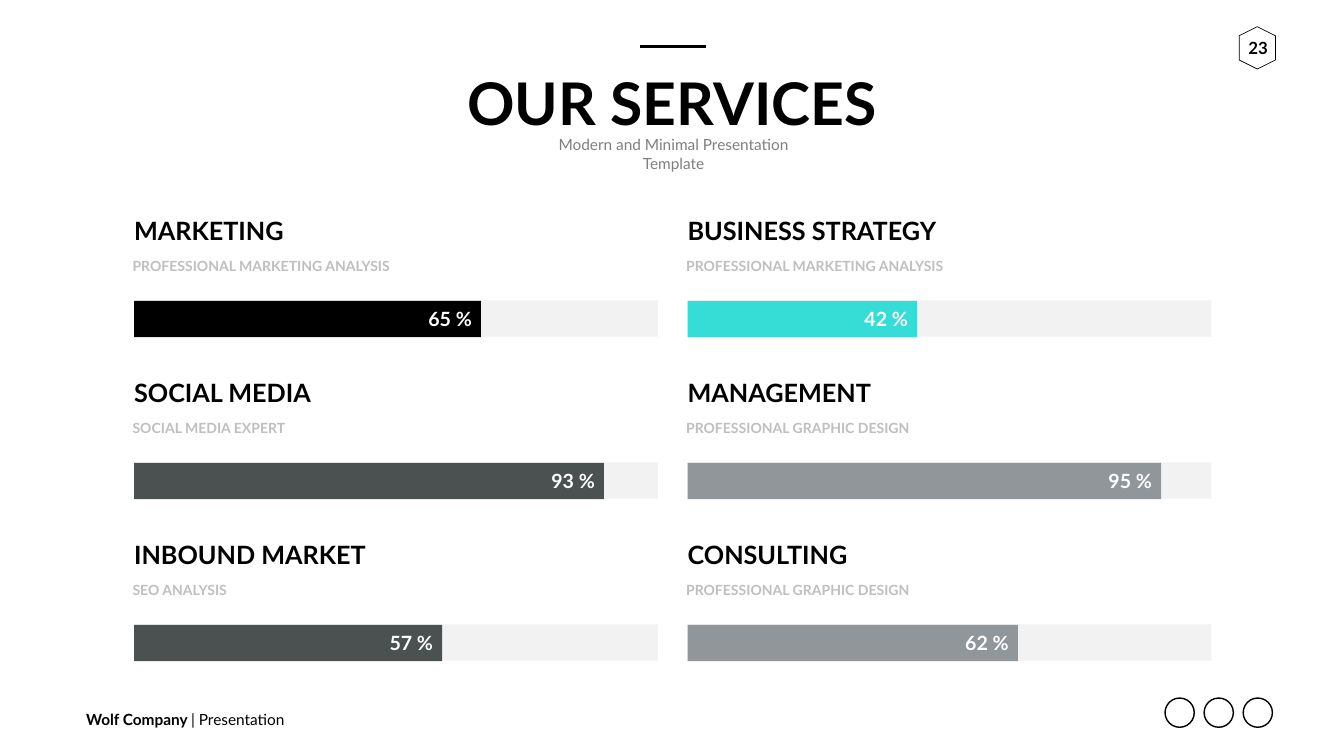
from lxml import etree
from pptx import Presentation
from pptx.dml.color import RGBColor
from pptx.enum.shapes import MSO_CONNECTOR, MSO_SHAPE
from pptx.enum.text import MSO_ANCHOR, MSO_AUTO_SIZE, PP_ALIGN
from pptx.oxml.ns import qn
from pptx.util import Inches, Pt

LEFT, CENTER, RIGHT = PP_ALIGN.LEFT, PP_ALIGN.CENTER, PP_ALIGN.RIGHT
TOP, MIDDLE = MSO_ANCHOR.TOP, MSO_ANCHOR.MIDDLE
RECTANGLE, HEXAGON, OVAL = MSO_SHAPE.RECTANGLE, MSO_SHAPE.HEXAGON, MSO_SHAPE.OVAL
STRAIGHT = MSO_CONNECTOR.STRAIGHT
NO_AUTOFIT = MSO_AUTO_SIZE.NONE

FONT = "Lato"
BLACK, WHITE = "000000", "FFFFFF"
TEAL, CHARCOAL, STEEL = "36DDD7", "4B5050", "91969B"
TRACK, CAPTION, MUTED = "F2F2F2", "BFBFBF", "7F7F7F"

HEADING = "OUR SERVICES"
TAGLINE = "Modern and Minimal Presentation Template"
PAGE_NUMBER = "23"
FOOTER = [("Wolf Company ", True), ("| Presentation", False)]
SERVICES = [
    [("MARKETING", "PROFESSIONAL MARKETING ANALYSIS", "65 %", 6.88, BLACK),
     ("BUSINESS STRATEGY", "PROFESSIONAL MARKETING ANALYSIS", "42 %", 4.55, TEAL)],
    [("SOCIAL MEDIA", "SOCIAL MEDIA EXPERT", "93 %", 9.32, CHARCOAL),
     ("MANAGEMENT", "PROFESSIONAL GRAPHIC DESIGN", "95 %", 9.39, STEEL)],
    [("INBOUND MARKET", "SEO ANALYSIS", "57 %", 6.11, CHARCOAL),
     ("CONSULTING", "PROFESSIONAL GRAPHIC DESIGN", "62 %", 6.55, STEEL)],
]

GRID_LEFT, GRID_TOP = 2.66, 4.27
COLUMN_STEP, ROW_STEP = 10.98, 3.215
TRACK_WIDTH, BAR_HEIGHT = 10.39, 0.72
PERCENT_WIDTH, PERCENT_GAP = 0.87, 0.18
BADGE_LEFT, BADGE_STEP, BADGE_COUNT = 23.11, 0.775, 3


def color(hex_code):
    return RGBColor.from_string(hex_code)


def write(frame, runs, size, hex_code, align=LEFT, anchor=MIDDLE, inset=(0, 0), wrap=False):
    frame.auto_size = NO_AUTOFIT
    frame.word_wrap = wrap
    frame.vertical_anchor = anchor
    frame.margin_left = frame.margin_right = Inches(inset[0])
    frame.margin_top = frame.margin_bottom = Inches(inset[1])
    paragraph = frame.paragraphs[0]
    paragraph.alignment = align
    for words, bold in runs:
        run = paragraph.add_run()
        run.text = words
        run.font.name = FONT
        run.font.size = Pt(size)
        run.font.bold = bold
        run.font.color.rgb = color(hex_code)


def add_label(slide, box, runs, size, hex_code, **layout):
    label = slide.shapes.add_textbox(*map(Inches, box))
    write(label.text_frame, runs, size, hex_code, **layout)


def add_figure(slide, kind, box, fill=None, line_width=None):
    figure = slide.shapes.add_shape(kind, *map(Inches, box))
    figure.shadow.inherit = False
    if fill:
        figure.fill.solid()
        figure.fill.fore_color.rgb = color(fill)
    else:
        figure.fill.background()
    if line_width:
        figure.line.color.rgb = color(BLACK)
        figure.line.width = Pt(line_width)
    else:
        figure.line.fill.background()
    return figure


def add_service(slide, left, top, service):
    name, detail, percent, width, fill = service
    add_label(slide, (left, top, 5, 0.61), [(name, True)], 36, BLACK)
    add_label(slide, (left - 0.03, top + 0.84, 5.2, 0.34), [(detail, True)], 20, CAPTION)
    add_figure(slide, RECTANGLE, (left, top + 1.69, TRACK_WIDTH, BAR_HEIGHT), TRACK)
    add_figure(slide, RECTANGLE, (left, top + 1.7, width, BAR_HEIGHT), fill)
    percent_left = left + width - PERCENT_GAP - PERCENT_WIDTH
    add_label(slide, (percent_left, top + 1.81, PERCENT_WIDTH, 0.47),
              [(percent, True)], 28, WHITE, align=RIGHT)


def add_header(slide):
    title = slide.shapes.title
    title.left, title.top, title.width, title.height = map(Inches, (9.12, 1.28, 8.42, 1.51))
    write(title.text_frame, [(HEADING, True)], 84, BLACK,
          align=CENTER, anchor=TOP, inset=(0.1, 0.05))
    add_label(slide, (10.38, 2.82, 5.96, 0.47), [(TAGLINE, False)], 22, MUTED,
              align=CENTER, inset=(0.1, 0.05), wrap=True)
    rule = slide.shapes.add_connector(STRAIGHT, *map(Inches, (12.7, 0.92, 14, 0.92)))
    rule.line.color.rgb = color(BLACK)
    rule.line.width = Pt(4.5)
    etree.SubElement(rule._element.spPr, qn("a:effectLst"))


def add_frame(slide):
    add_label(slide, (1.61, 14.03, 4.17, 0.47), FOOTER, 22, BLACK, inset=(0.1, 0.05))
    hexagon = add_figure(slide, HEXAGON, (24.52, 0.59, 0.84, 0.72), line_width=1)
    hexagon.rotation = 90
    add_label(slide, (24.48, 0.65, 0.95, 0.61), [(PAGE_NUMBER, True)], 24, BLACK,
              align=CENTER, anchor=TOP, inset=(0.2, 0.1))
    for index in range(BADGE_COUNT):
        add_figure(slide, OVAL, (BADGE_LEFT + index * BADGE_STEP, 13.85, 0.58, 0.58),
                   line_width=2)


def main():
    deck = Presentation()
    deck.slide_width, deck.slide_height = Inches(26.66), Inches(15)
    slide = deck.slides.add_slide(deck.slide_layouts[5])
    add_frame(slide)
    for row, services in enumerate(SERVICES):
        for column, service in enumerate(services):
            add_service(slide, GRID_LEFT + column * COLUMN_STEP,
                        GRID_TOP + row * ROW_STEP, service)
    add_header(slide)
    deck.save("out.pptx")


if __name__ == "__main__":
    main()
